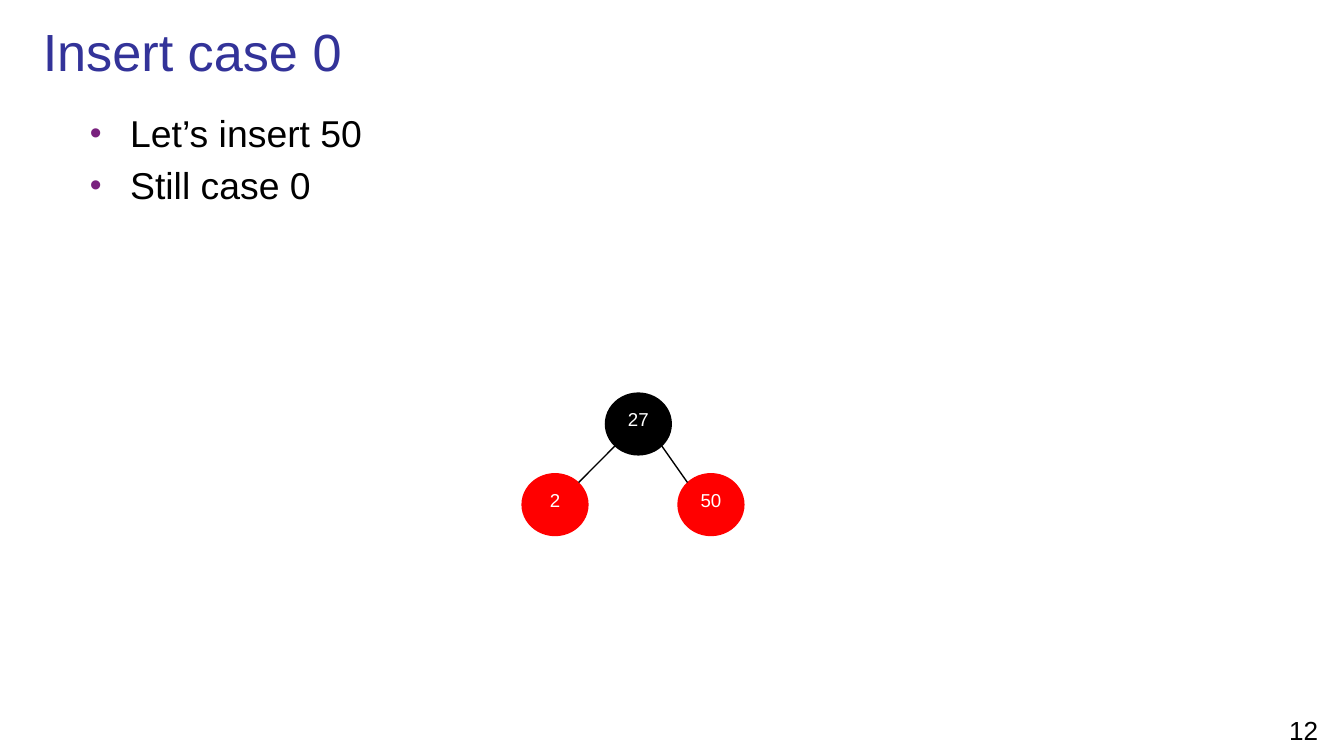
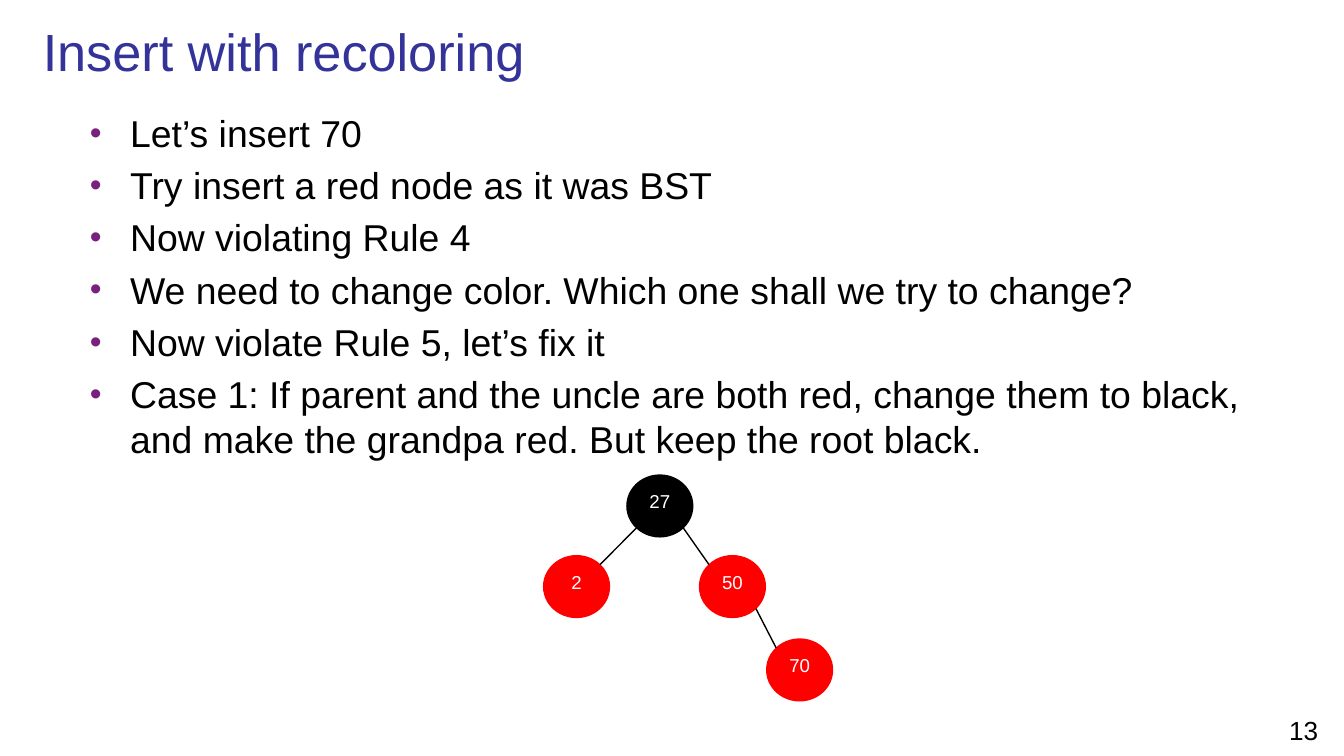
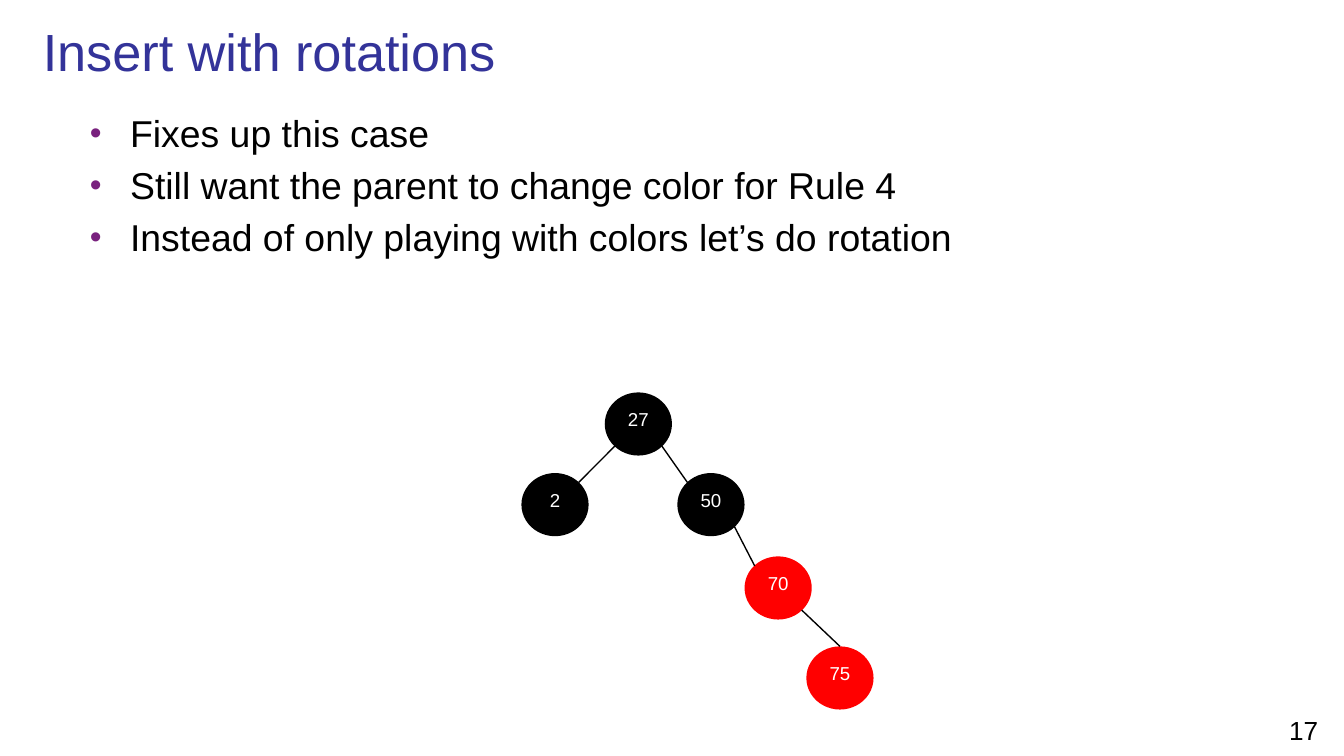
from lxml.etree import SubElement
from pptx import Presentation
from pptx.dml.color import RGBColor
from pptx.enum.shapes import MSO_CONNECTOR, MSO_SHAPE
from pptx.enum.text import MSO_ANCHOR, PP_ALIGN
from pptx.oxml.ns import qn
from pptx.util import Inches, Pt

COLORS = {
    "title": "333399",
    "text": "000000",
    "bullet": "79217E",
    "black": "000000",
    "red": "FF0000",
    "node_text": "FFFFFF",
    "edge": "000000",
}
FONT = "Arial"
TITLE_BOX = (0.22, 0.08, 9.74, 0.59)
BODY_BOX = (0.44, 0.77, 9.16, 1.47)
NUMBER_BOX = (9.4, 5.27, 0.6, 0.3)

NODE_W, NODE_H = 0.5, 0.47
DIAGONAL = 0.15  # share of a node's width or height where its diagonal meets the outline
# Key: (left, top) in the tree's box, parent key, share of the node's width where the edge arrives
TREE = {
    27: ((0.62, 0), None, None),
    2: ((0, 0.6), 27, 1 - DIAGONAL),
    50: ((1.16, 0.6), 27, DIAGONAL),
    70: ((1.66, 1.22), 50, DIAGONAL),
    75: ((2.12, 1.89), 70, 0.5),
}

SLIDES = [
    {
        "number": 12,
        "title": "Insert case 0",
        "points": ["Let’s insert 50", "Still case 0"],
        "tree_at": (3.88, 2.92),
        "nodes": {27: "black", 2: "red", 50: "red"},
    },
    {
        "number": 13,
        "title": "Insert with recoloring",
        "points": [
            "Let’s insert 70",
            "Try insert a red node as it was BST",
            "Now violating Rule 4",
            "We need to change color. Which one shall we try to change?",
            "Now violate Rule 5, let’s fix it",
            "Case 1: If parent and the uncle are both red, change them to black, "
            "and make the grandpa red. But keep the root black.",
        ],
        "tree_at": (4.04, 3.53),
        "nodes": {27: "black", 2: "red", 50: "red", 70: "red"},
    },
    {
        "number": 17,
        "title": "Insert with rotations",
        "points": [
            "Fixes up this case",
            "Still want the parent to change color for Rule 4",
            "Instead of only playing with colors let’s do rotation",
        ],
        "tree_at": (3.88, 2.92),
        "nodes": {27: "black", 2: "black", 50: "black", 70: "red", 75: "red"},
    },
]


def rgb(role):
    return RGBColor.from_string(COLORS[role])


def write(paragraph, words, size, role, **paragraph_format):
    for name, value in paragraph_format.items():
        setattr(paragraph, name, value)
    run = paragraph.add_run()
    run.text = words
    for name, value in {"name": FONT, "size": Pt(size)}.items():
        setattr(run.font, name, value)
    run.font.color.rgb = rgb(role)


def add_frame(slide, box, anchor=MSO_ANCHOR.TOP):
    frame = slide.shapes.add_textbox(*map(Inches, box)).text_frame
    for name, value in {"word_wrap": True, "vertical_anchor": anchor}.items():
        setattr(frame, name, value)
    return frame


def add_title(slide, box, title):
    frame = add_frame(slide, box, MSO_ANCHOR.MIDDLE)
    write(frame.paragraphs[0], title, 28, "title")


def add_page_number(slide, box, number):
    frame = add_frame(slide, box)
    write(frame.paragraphs[0], str(number), 14, "text", alignment=PP_ALIGN.CENTER)


def add_bullet(paragraph):
    properties = paragraph._p.get_or_add_pPr()
    properties.set("marL", str(Inches(0.43)))
    properties.set("indent", str(Inches(-0.3)))
    color = SubElement(properties, qn("a:buClr"))
    SubElement(color, qn("a:srgbClr"), val=COLORS["bullet"])
    SubElement(properties, qn("a:buSzPct"), val="90000")
    SubElement(properties, qn("a:buFont"), typeface=FONT)
    SubElement(properties, qn("a:buChar"), char="•")


def add_points(slide, box, points):
    frame = add_frame(slide, box)
    for index, point in enumerate(points):
        paragraph = frame.add_paragraph() if index else frame.paragraphs[0]
        add_bullet(paragraph)
        write(paragraph, point, 20, "text")
        if index:
            paragraph.space_before = Pt(4)


def add_node(slide, left, top, key, color):
    node = slide.shapes.add_shape(
        MSO_SHAPE.OVAL, *map(Inches, (left, top, NODE_W, NODE_H)))
    node.shadow.inherit = False
    node.fill.solid()
    node.fill.fore_color.rgb = rgb(color)
    node.line.fill.background()
    frame = node.text_frame
    for name, value in {"word_wrap": False, "vertical_anchor": MSO_ANCHOR.TOP}.items():
        setattr(frame, name, value)
    write(frame.paragraphs[0], str(key), 10, "node_text", alignment=PP_ALIGN.CENTER)


def add_edge(slide, parent, child, arrival):
    """Join a parent's lower diagonal point to the top of its child."""
    (parent_x, parent_y), (child_x, child_y) = parent, child
    departure = DIAGONAL if child_x < parent_x else 1 - DIAGONAL
    drop = 0 if arrival == 0.5 else DIAGONAL
    ends = (
        parent_x + departure * NODE_W, parent_y + (1 - DIAGONAL) * NODE_H,
        child_x + arrival * NODE_W, child_y + drop * NODE_H,
    )
    edge = slide.shapes.add_connector(MSO_CONNECTOR.STRAIGHT, *map(Inches, ends))
    edge.line.color.rgb = rgb("edge")
    edge.line.width = Pt(0.75)
    SubElement(edge._element.spPr, qn("a:effectLst"))


def add_tree(slide, origin, nodes):
    places = {key: (origin[0] + TREE[key][0][0], origin[1] + TREE[key][0][1])
              for key in nodes}
    for key, color in nodes.items():
        _, parent, arrival = TREE[key]
        add_node(slide, *places[key], key, color)
        if parent is not None:
            add_edge(slide, places[parent], places[key], arrival)


def add_insert_slide(deck, content):
    slide = deck.slides.add_slide(deck.slide_layouts[6])
    add_page_number(slide, NUMBER_BOX, content["number"])
    add_title(slide, TITLE_BOX, content["title"])
    add_points(slide, BODY_BOX, content["points"])
    add_tree(slide, content["tree_at"], content["nodes"])


def main():
    deck = Presentation()
    deck.slide_width = Inches(10)
    deck.slide_height = deck.slide_width * 9 // 16
    for content in SLIDES:
        add_insert_slide(deck, content)
    deck.save("out.pptx")


if __name__ == "__main__":
    main()
